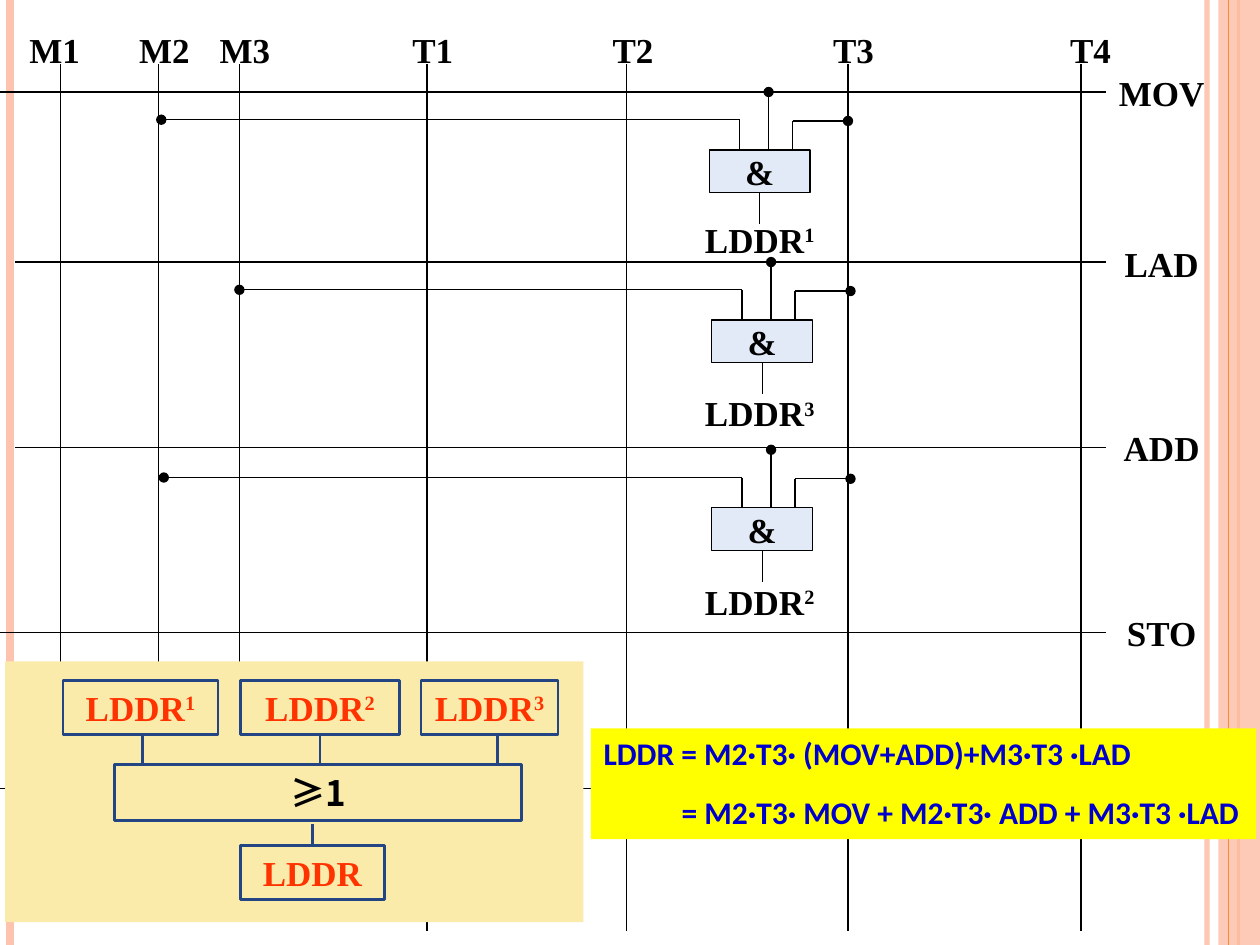
from lxml.etree import SubElement
from pptx import Presentation
from pptx.dml.color import RGBColor as RGB
from pptx.enum.shapes import MSO_CONNECTOR as CONN, MSO_SHAPE as SHAPE
from pptx.enum.text import MSO_ANCHOR as ANCHOR, PP_ALIGN as ALIGN
from pptx.oxml.ns import qn
from pptx.util import Pt

PX = 9144
SERIF, SANS, CJK = "Times New Roman", "Calibri", "Noto Sans CJK SC"
COLORS = {
    "black": "000000", "white": "FFFFFF", "gate": "E3EAF7", "panel": "FBEBAB",
    "navy": "244583", "red": "FF3300", "blue": "0000CC", "yellow": "FFFF00",
    "peach": "FEC3AE", "orange": "FE8637",
}


class Diagram:
    """Draws styled elements of a circuit diagram on one slide."""

    def __init__(self, slide):
        self.shapes = slide.shapes

    def color(self, fmt, name, alpha=None):
        fmt.solid()
        fmt.fore_color.rgb = RGB.from_string(COLORS[name])
        if alpha:
            clr = fmt._xPr.find(qn("a:solidFill"))[0]
            SubElement(clr, qn("a:alpha")).set("val", str(alpha * 1000))

    def line(self, x1, y1, x2, y2, color="black", width=0.75, dot=False, alpha=None):
        c = self.shapes.add_connector(CONN.STRAIGHT, *(v * PX for v in (x1, y1, x2, y2)))
        c.line.width = Pt(width)
        self.color(c.line.fill, color, alpha)
        if dot:
            SubElement(c.line._get_or_add_ln(), qn("a:tailEnd")).set("type", "oval")
        SubElement(c._element.spPr, qn("a:effectLst"))

    def rect(self, x, y, w, h, fill, line=None, width=0.75, alpha=None):
        sp = self.shapes.add_shape(SHAPE.RECTANGLE, *(v * PX for v in (x, y, w, h)))
        sp.shadow.inherit = False
        self.color(sp.fill, fill, alpha)
        if line:
            self.color(sp.line.fill, line)
            sp.line.width = Pt(width)
        else:
            sp.line.fill.background()
        tf = sp.text_frame
        tf.margin_left = tf.margin_right = tf.margin_top = tf.margin_bottom = 0
        tf.vertical_anchor = ANCHOR.MIDDLE
        tf.word_wrap = False
        return sp

    def run(self, p, text, color, size=20, font=SERIF, raised=False):
        r = p.add_run()
        r.text = text
        r.font.size, r.font.bold, r.font.name = Pt(size), True, font
        r.font.color.rgb = RGB.from_string(COLORS[color])
        rPr = r._r.get_or_add_rPr()
        SubElement(rPr, qn("a:ea")).set("typeface", font)
        if raised:
            rPr.set("baseline", "30000")

    def box(self, x, y, w, h, text, sup="", fill="white", line="white",
            width=0.75, color="black", font=SERIF):
        p = self.rect(x, y, w, h, fill, line, width).text_frame.paragraphs[0]
        p.alignment = ALIGN.CENTER
        self.run(p, text, color, font=font)
        if sup:
            self.run(p, sup, color, raised=True)

    def panel_box(self, x, y, w, h, text, sup="", color="red", font=SERIF):
        self.box(x, y, w, h, text, sup, "panel", "navy", 1.5, color, font)

    def and_gate(self, x, y, bus_x, label_y, label_h, sup):
        self.box(x, y, 80, 34, "&", fill="gate", line="black")
        self.line(x + 47, y, x + 47, y - 46, dot=True)
        self.line(x + 66, y - 23, x + 66, y)
        self.line(x + 66, y - 23, x + 110, y - 23, dot=True)
        self.line(x + 24, y - 24, x + 24, y)
        self.line(x + 24, y - 24, bus_x, y - 24, dot=True)
        self.box(563, label_y, 80, label_h, "LDDR", sup)
        self.line(x + 40, y + 34, x + 40, y + 59)

    def formula(self, x, y, w, h, rows):
        tf = self.rect(x, y, w, h, "yellow").text_frame
        tf.vertical_anchor = ANCHOR.TOP
        tf.margin_top = tf.margin_bottom = 5 * PX
        for i, (indent, text) in enumerate(rows):
            p = tf.add_paragraph() if i else tf.paragraphs[0]
            p.alignment = ALIGN.LEFT
            p._p.get_or_add_pPr().set("marL", str(indent * PX))
            if i:
                p.space_before = Pt(12)
            self.run(p, text, "blue", 18, SANS)
        tf.word_wrap = True


def main():
    prs = Presentation()
    prs.slide_width, prs.slide_height = 1000 * PX, 750 * PX
    d = Diagram(prs.slides.add_slide(prs.slide_layouts[6]))

    d.line(958, 0, 958, 750, "peach", 3, alpha=93)
    d.line(8, 0, 8, 750, "peach", 4.5)
    d.line(983, 0, 983, 750, "orange", 1.5)
    d.rect(967, 0, 33, 750, "peach", alpha=87)
    d.line(975, 0, 975, 750, "orange")

    columns = [("M1", 48, 30, 705), ("M2", 126, 117, 705), ("M3", 190, 181, 705),
               ("T1", 339, 330, 739), ("T2", 497, 489, 739),
               ("T3", 673, 664, 739), ("T4", 858, 852, 739)]
    for name, x, label_x, bottom in columns:
        d.line(x, 51, x, bottom)
        d.box(label_x, 28, 27, 22, name)

    for name, x, y, label_y in [("MOV", 0, 73, 62), ("LAD", 12, 208, 198),
                                ("ADD", 12, 355, 344), ("STO", 0, 502, 491)]:
        d.line(x, y, 878, y)
        d.box(909, label_y, 26, 22, name)
    d.line(0, 626, 878, 626)

    d.and_gate(563, 119, 128, 178, 24, "1")
    d.and_gate(565, 254, 190, 312, 31, "3")
    d.and_gate(565, 403, 130, 463, 28, "2")

    d.rect(4, 525, 459, 207, "panel")
    d.panel_box(91, 607, 323, 44, "≥1", color="black", font=CJK)
    for i, (x, w) in enumerate([(50, 123), (191, 126), (334, 109)]):
        d.panel_box(x, 540, w, 43, "LDDR", str(i + 1))
        d.line(113 + 141 * i, 583, 113 + 141 * i, 607, "navy", 1.5)
    d.panel_box(191, 671, 114, 43, "LDDR")
    d.line(248, 654, 248, 670, "navy", 1.5)

    d.formula(469, 578, 528, 88, [
        (10, "LDDR = M2·T3· (MOV+ADD)+M3·T3 ·LAD"),
        (72, "= M2·T3· MOV + M2·T3· ADD + M3·T3 ·LAD")])
    prs.save("out.pptx")


if __name__ == "__main__":
    main()
